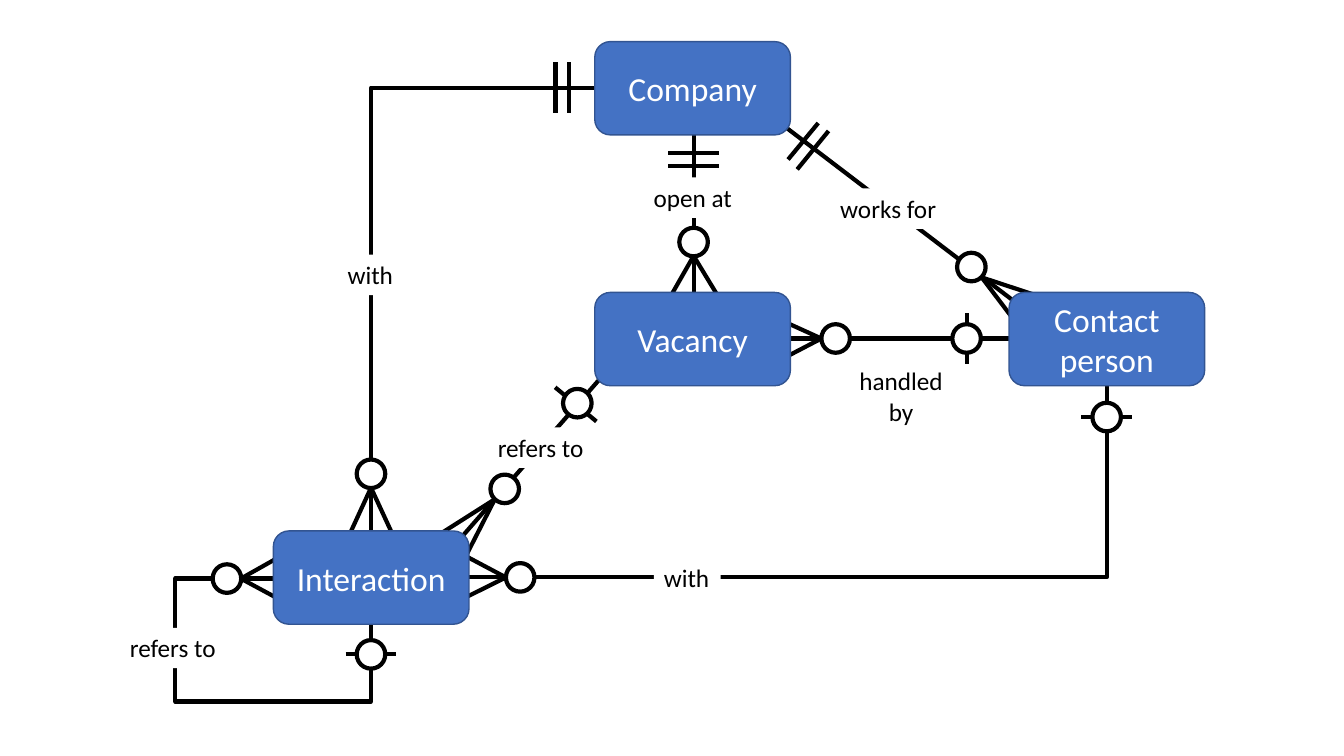
from lxml.etree import SubElement as Sub
from pptx import Presentation as Deck
from pptx.dml.color import RGBColor
from pptx.enum.shapes import MSO_CONNECTOR as Wire, MSO_SHAPE as Form
from pptx.enum.text import MSO_ANCHOR as Anchor, MSO_AUTO_SIZE as Auto, PP_ALIGN as Align
from pptx.oxml.ns import qn
from pptx.util import Cm, Pt

BLACK = RGBColor(0, 0, 0)
WHITE = RGBColor(255, 255, 255)
BLUE = RGBColor(0x44, 0x72, 0xC4)
NAVY = RGBColor(0x32, 0x54, 0x91)

RING = 0.72  # ring diameter
HALF = 0.64  # half a bar
WIDE, HIGH = 4.93, 2.35  # entity size

NAMES = {"size": Pt(24), "name": "Calibri"}
TAGS = {"size": Pt(18), "name": "Calibri"}
MIDDLE = {"word_wrap": True, "vertical_anchor": Anchor.MIDDLE}
GROW = {"word_wrap": False, "auto_size": Auto.SHAPE_TO_FIT_TEXT}


def apply(part, style):
    for key, value in style.items():
        setattr(part, key, value)


def write(shape, rows, frame, font, color, align):
    text = shape.text_frame
    apply(text, frame)
    for i, row in enumerate(rows):
        para = text.add_paragraph() if i else text.paragraphs[0]
        para.alignment = align
        run = para.add_run()
        run.text = row
        apply(run.font, font)
        run.font.color.rgb = color


def paint(shape, fill, edge, width):
    shape.shadow.inherit = False
    shape.fill.solid()
    shape.fill.fore_color.rgb = fill
    shape.line.color.rgb = edge
    shape.line.width = Pt(width)


class Pen:
    """Draws in centimetres from the top left corner of a box."""

    def __init__(self, page, box):
        self.shapes = page.shapes
        self.x, self.y, self.w, self.h = box

    def spot(self, x, y):
        return Cm(self.x + x), Cm(self.y + y)

    def line(self, start, end, kind=Wire.STRAIGHT):
        wire = self.shapes.add_connector(kind, *self.spot(*start), *self.spot(*end))
        wire.line.color.rgb = BLACK
        wire.line.width = Pt(3)
        Sub(wire._element.spPr, qn("a:effectLst"))
        return wire

    def bend(self, start, end):
        wire = self.line(start, end, Wire.ELBOW)
        wire._element.spPr.find(qn("a:prstGeom")).set("prst", "bentConnector2")

    def flat(self, x, y):
        self.line((x - HALF, y), (x + HALF, y))

    def tall(self, x, y):
        self.line((x, y - HALF), (x, y + HALF))

    def fork(self, tip, *feet):
        for foot in feet:
            self.line(tip, foot)

    def form(self, kind, x, y, w, h, fill=WHITE, edge=BLACK, width=3):
        shape = self.shapes.add_shape(kind, *self.spot(x, y), Cm(w), Cm(h))
        paint(shape, fill, edge, width)
        return shape

    def ring(self, x, y):
        self.form(Form.OVAL, x - RING / 2, y - RING / 2, RING, RING)

    def tag(self, x, y, w, *rows, h=1.02, align=Align.LEFT):
        box = self.shapes.add_textbox(*self.spot(x - w / 2, y - h / 2), Cm(w), Cm(h))
        box.fill.solid()
        box.fill.fore_color.rgb = WHITE
        write(box, rows, GROW, TAGS, BLACK, align)


# Interaction refers to interaction
def loop(page, box):
    pen = Pen(page, box)
    pen.form(Form.RECTANGLE, 0, 0, pen.w, pen.h)
    pen.flat(pen.w, 1.91)
    pen.ring(pen.w, 1.91)
    pen.ring(1.3, 0)
    pen.fork((1.65, 0), (2.59, -0.53), (2.69, 0.56))
    pen.tag(-0.05, 1.75, 2.69, "refers to")


# Interaction with company
def visit(page, box):
    pen = Pen(page, box)
    pen.bend((pen.w, 0), (0, pen.h))
    for x in (4.65, 4.98):
        pen.tall(x, 0)
    pen.ring(0, 9.73)
    pen.fork((0, 10.08), (-0.56, 11.3), (0.66, 11.51))
    pen.tag(0, 4.72, 1.68, "with")


# Interaction with contact person
def talk(page, box):
    pen = Pen(page, box)
    pen.bend((0, pen.h), (pen.w, 0))
    pen.ring(1.3, pen.h)
    pen.fork((0.94, pen.h), (-0.25, 4.22), (-0.25, 5.44))
    pen.tag(5.51, pen.h, 1.68, "with")
    pen.flat(pen.w, 0.81)
    pen.ring(pen.w, 0.81)


# Vacancy open at company
def open_at(page, box):
    pen = Pen(page, box)
    pen.line((0, 0), (0, pen.h))
    for y in (0.48, 0.81):
        pen.flat(0, y)
    pen.ring(0, 2.72)
    pen.fork((0, 3.07), (0.71, 4.24), (-0.64, 4.19))
    pen.tag(0, 1.6, 2.51, "open at")


# Vacancy handled by contact person
def handle(page, box):
    pen = Pen(page, box)
    pen.line((pen.w, 0), (0, 0))
    pen.ring(1.12, 0)
    pen.fork((0.76, 0), (-0.41, -0.53), (-0.41, 0.61))
    pen.tag(2.77, 1.46, 2.64, "handled", "by", h=1.8, align=Align.CENTER)
    pen.tall(4.42, 0)
    pen.ring(4.42, 0)


# Contact person works for company
def work(page, box):
    pen = Pen(page, box)
    pen.line((pen.w, pen.h), (0, 0))
    pen.line((0.33, 1.02), (1.09, 0.1))
    pen.line((0.56, 1.27), (1.35, 0.3))
    pen.ring(4.95, 3.73)
    pen.fork((5.21, 3.99), (6.15, 5.23), (6.91, 4.55))
    pen.tag(2.87, 2.26, 2.95, "works for")


# Interaction refers to vacancy
def refer(page, box):
    pen = Pen(page, box)
    pen.line((2.59, 0.41), (3.63, 1.27))
    pen.line((0, pen.h), (pen.w, 0))
    pen.ring(3.15, 0.81)
    pen.ring(1.32, 2.97)
    pen.fork((1.07, 3.23), (-0.41, 4.17), (0.28, 4.78))
    pen.tag(2.24, 1.93, 2.69, "refers to")


def entity(page, box, name):
    pen = Pen(page, box)
    shape = pen.form(Form.ROUNDED_RECTANGLE, 0, 0, pen.w, pen.h, BLUE, NAVY, 1)
    write(shape, [name], MIDDLE, NAMES, WHITE, Align.CENTER)


LINKS = (
    (loop, (4.42, 14.58, WIDE, 3.1)),
    (visit, (9.35, 2.21, 5.64, 11.18)),
    (talk, (11.81, 9.7, 16.08, 4.85)),
    (open_at, (17.48, 3.38, 0, 3.99)),
    (handle, (19.94, 8.53, 5.49, 0)),
    (work, (19.53, 3, 6.3, 4.8)),
    (refer, (11.4, 9.35, 3.89, 4.45)),
)
ITEMS = {
    "Company": (14.99, 1.05),
    "Vacancy": (14.99, 7.37),
    "Contact person": (25.43, 7.37),
    "Interaction": (6.89, 13.38),
}

deck = Deck()
apply(deck, {"slide_width": Cm(33.87), "slide_height": Cm(19.05)})
page = deck.slides.add_slide(deck.slide_layouts[6])

# Relations lie below the entities
for draw, box in LINKS:
    draw(page, box)
for name, spot in ITEMS.items():
    entity(page, (*spot, WIDE, HIGH), name)

deck.save("out.pptx")
